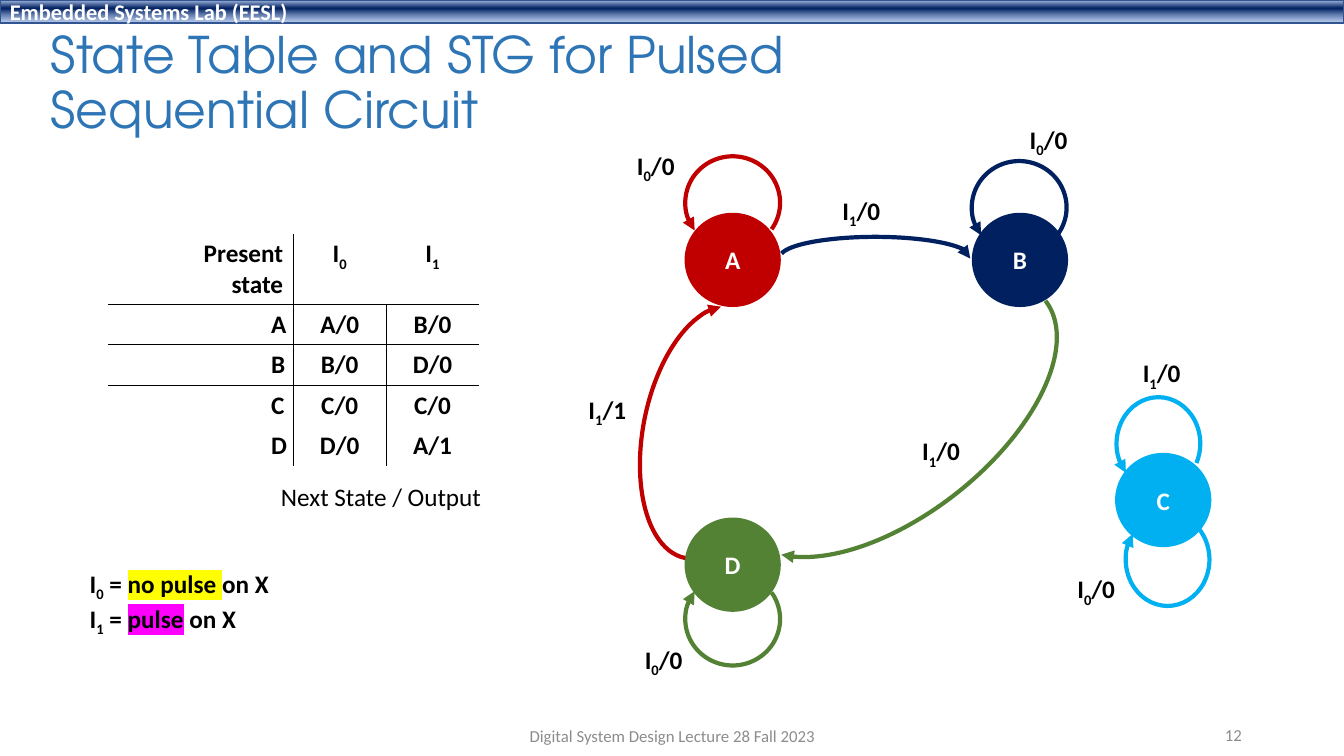
from lxml.etree import SubElement as Sub
from pptx import Presentation
from pptx.dml.color import RGBColor
from pptx.enum.shapes import MSO_SHAPE as Kind
from pptx.enum.text import MSO_ANCHOR as Anchor, PP_ALIGN as Align
from pptx.oxml import parse_xml
from pptx.oxml.ns import qn
from pptx.util import Cm, Pt

NS = 'xmlns:a="http://schemas.openxmlformats.org/drawingml/2006/main"'
PLAIN = "{2D5ABB26-0587-4C30-8999-92F81FD0307C}"  # no style, no grid
RED, NAVY, GREEN, SKY = "C00000", "002060", "548235", "00B0F0"
BLACK, WHITE, GREY, BLUE = "000000", "FFFFFF", "8C8C8C", "2E75B6"
LOOP = (86.305, 20.584)


def paint(hue):
    return RGBColor.from_string(hue)


def pulse(num, rest=""):
    """Runs for the input I with its index below the line."""
    return [("I", None), (num, "sub"), (rest, None)]


def write(frame, paras, size=18, hue=BLACK, bold=True, align=Align.LEFT,
          face="Calibri", indent=0):
    """Fill a frame; a paragraph is a string or a list of (text, mark)."""
    for i, runs in enumerate(paras):
        para = frame.add_paragraph() if i else frame.paragraphs[0]
        if isinstance(runs, str):
            runs = [(runs, None)]
        para.alignment = align
        if indent:
            para.level = 1
            props = para._p.get_or_add_pPr()
            props.set("marL", str(Cm(indent)))
            props.set("indent", "0")
        font = para.font
        font.name, font.size, font.bold = face, Pt(size), bold
        font.color.rgb = paint(hue)
        for text, mark in runs:
            if not text:
                continue
            run = para.add_run()
            run.text = text
            if mark == "sub":
                run.font._element.set("baseline", "-25000")
            elif mark:
                glow = Sub(run.font._element, qn("a:highlight"))
                Sub(glow, qn("a:srgbClr")).set("val", mark)


def add_text(slide, box, paras, wrap=True, anchor=Anchor.TOP, **style):
    frame = slide.shapes.add_textbox(*map(Cm, box)).text_frame
    frame.word_wrap = wrap
    frame.vertical_anchor = anchor
    write(frame, paras, **style)
    return frame


def add_shape(slide, kind, box, hue, width):
    shape = slide.shapes.add_shape(kind, *map(Cm, box))
    shape.shadow.inherit = False
    shape.line.color.rgb = paint(hue)
    shape.line.width = Pt(width)
    return shape


def add_bar(slide):
    bar = add_shape(slide, Kind.RECTANGLE, (0, 0, 33.87, 0.58), "325491", 1)
    grad = parse_xml(
        f'<a:gradFill {NS} rotWithShape="1"><a:gsLst>'
        '<a:gs pos="2000"><a:srgbClr val="ABC0E4"/></a:gs>'
        '<a:gs pos="38000"><a:srgbClr val="002060"/></a:gs>'
        '<a:gs pos="93000"><a:srgbClr val="7E9ED6">'
        '<a:alpha val="64000"/></a:srgbClr></a:gs>'
        '</a:gsLst><a:lin ang="5400000" scaled="0"/></a:gradFill>')
    bar._element.spPr.find(qn("a:prstGeom")).addnext(grad)
    bar.text_frame.vertical_anchor = Anchor.MIDDLE
    write(bar.text_frame, ["Embedded Systems Lab (EESL)"], 16, WHITE)


def add_state(slide, name, left, top, hue):
    state = add_shape(slide, Kind.OVAL, (left, top, 2.39, 2.34), hue, 1)
    state.fill.solid()
    state.fill.fore_color.rgb = paint(hue)
    state.text_frame.vertical_anchor = Anchor.MIDDLE
    write(state.text_frame, [name], hue=WHITE, align=Align.CENTER)


def add_arc(slide, box, hue, span, end="tailEnd", turn=0, flip=False):
    arc = add_shape(slide, Kind.ARC, box, hue, 3)
    arc.fill.background()
    arc.adjustments[0], arc.adjustments[1] = span
    arc.rotation = turn
    if flip:
        arc._element.spPr.find(qn("a:xfrm")).set("flipV", "1")
    Sub(arc.line._get_or_add_ln(), qn("a:" + end)).set("type", "triangle")


def add_edge(cell, side):
    """Draw one black border; side is L, R, T or B."""
    line = parse_xml(
        f'<a:ln{side} {NS} w="12700"><a:solidFill><a:srgbClr val="{BLACK}"/>'
        f'</a:solidFill></a:ln{side}>')
    props = cell._tc.get_or_add_tcPr()
    order = "LRTB"
    after = [props.find(qn("a:ln" + s)) for s in order[:order.index(side)]]
    props.insert(sum(item is not None for item in after), line)


def add_states(slide):
    """The state table: next state and output for each input."""
    table = slide.shapes.add_table(
        5, 4, Cm(2.72), Cm(5.89), Cm(9.35), Cm(5.86)).table
    table._tbl.tblPr.find(qn("a:tableStyleId")).text = PLAIN
    table.first_row = table.horz_banding = False
    for col, width in zip(table.columns, (2.59, 2.08, 2.34, 2.34)):
        col.width = Cm(width)
    for i, row in enumerate(table.rows):
        row.height = Cm(1.02 if i else 1.78)
    rows = [("A", "A/0", "B/0"), ("B", "B/0", "D/0"),
            ("C", "C/0", "C/0"), ("D", "D/0", "A/1")]

    head = table.cell(0, 0)
    head.merge(table.cell(0, 1))
    write(head.text_frame, ["Present", "state"], align=Align.RIGHT)
    for j in (2, 3):
        write(table.cell(0, j).text_frame, [pulse(str(j - 2))],
              align=Align.CENTER)
    for i, (name, *cells) in enumerate(rows, 1):
        write(table.cell(i, 1).text_frame, [name], indent=1.27)
        for j, text in enumerate(cells, 2):
            write(table.cell(i, j).text_frame, [text], align=Align.CENTER)

    for i in range(5):
        for j in range(4):
            cell = table.cell(i, j)
            cell.fill.background()
            if j == 1 or (j == 0 and i == 0) or (j == 2 and i):
                add_edge(cell, "R")
            if j == 2 or (j == 3 and i):
                add_edge(cell, "L")
            if i in (1, 2):
                add_edge(cell, "T")
            if i in (0, 1):
                add_edge(cell, "B")


def add_graph(slide):
    """The state transition graph."""
    for state in (("C", 28.12, 11.43, SKY), ("A", 17.27, 5.38, RED),
                  ("B", 24.51, 5.38, NAVY), ("D", 17.27, 13.06, GREEN)):
        add_state(slide, *state)
    # Loops
    for left, top, width, hue, span, flip in (
            (28.37, 12.93, 2.11, SKY, (86.305, 26.647), True),
            (28.14, 10.01, 2.11, SKY, (82.864, 16.224), False),
            (17.27, 3.94, 2.39, RED, LOOP, False),
            (24.49, 4.06, 2.39, NAVY, LOOP, False),
            (17.27, 14.43, 2.39, GREEN, LOOP, True)):
        add_arc(slide, (left, top, width, 2.34), hue, span, "headEnd",
                flip=flip)
    # Moves A to B, D to A, B to D
    add_arc(slide, (19.66, 5.97, 4.8, 1.02), NAVY, (109.315, 0.513))
    add_arc(slide, (14.66, 9.22, 6.45, 3.35), RED, (107.921, 212.453),
            turn=281.1)
    add_arc(slide, (17.81, 8.08, 9.55, 4.88), GREEN, (108.024, 208.837),
            turn=141.9)
    # Input and output on each arc
    for left, top, num, out in (
            (28.55, 8.89, "1", "/0"), (26.9, 14.33, "0", "/0"),
            (22.99, 10.85, "1", "/0"), (20.98, 4.8, "1", "/0"),
            (14.58, 9.8, "1", "/1"), (15.8, 3.66, "0", "/0"),
            (16, 16.1, "0", "/0"), (25.7, 3, "0", "/0")):
        add_text(slide, (left, top, 1.5, 1.02), [pulse(num, out)], wrap=False)


def main():
    deck = Presentation()
    deck.slide_width, deck.slide_height = Cm(33.87), Cm(19.05)
    slide = deck.slides.add_slide(deck.slide_layouts[6])

    # Bar and title
    add_bar(slide)
    title = add_text(slide, (1.02, 0.3, 25.4, 3.68),
                     ["State Table and STG for Pulsed Sequential Circuit"],
                     anchor=Anchor.MIDDLE, size=36, hue=BLUE, bold=False,
                     face="TeX Gyre Adventor")
    title.paragraphs[0].line_spacing = 0.9

    # Table, caption and graph
    add_states(slide)
    add_text(slide, (6.83, 12.01, 5.61, 1.02), ["Next State / Output"],
             wrap=False, bold=False)
    add_graph(slide)

    # Legend
    add_text(slide, (0.74, 14.2, 7.19, 1.8), [
        pulse("0", " = ") + [("no pulse ", "FFFF00"), ("on X", None)],
        pulse("1", " = ") + [("pulse", "FF00FF"), (" on X", None)],
    ], indent=1.27)

    # Footer
    foot = dict(anchor=Anchor.MIDDLE, size=12, hue=GREY, bold=False)
    add_text(slide, (11.23, 18.03, 11.43, 1.02),
             ["Digital System Design Lecture 28 Fall 2023"],
             align=Align.CENTER, **foot)
    add_text(slide, (23.93, 18.01, 7.62, 1.02), ["12"],
             align=Align.RIGHT, **foot)
    deck.save("out.pptx")


if __name__ == "__main__":
    main()
